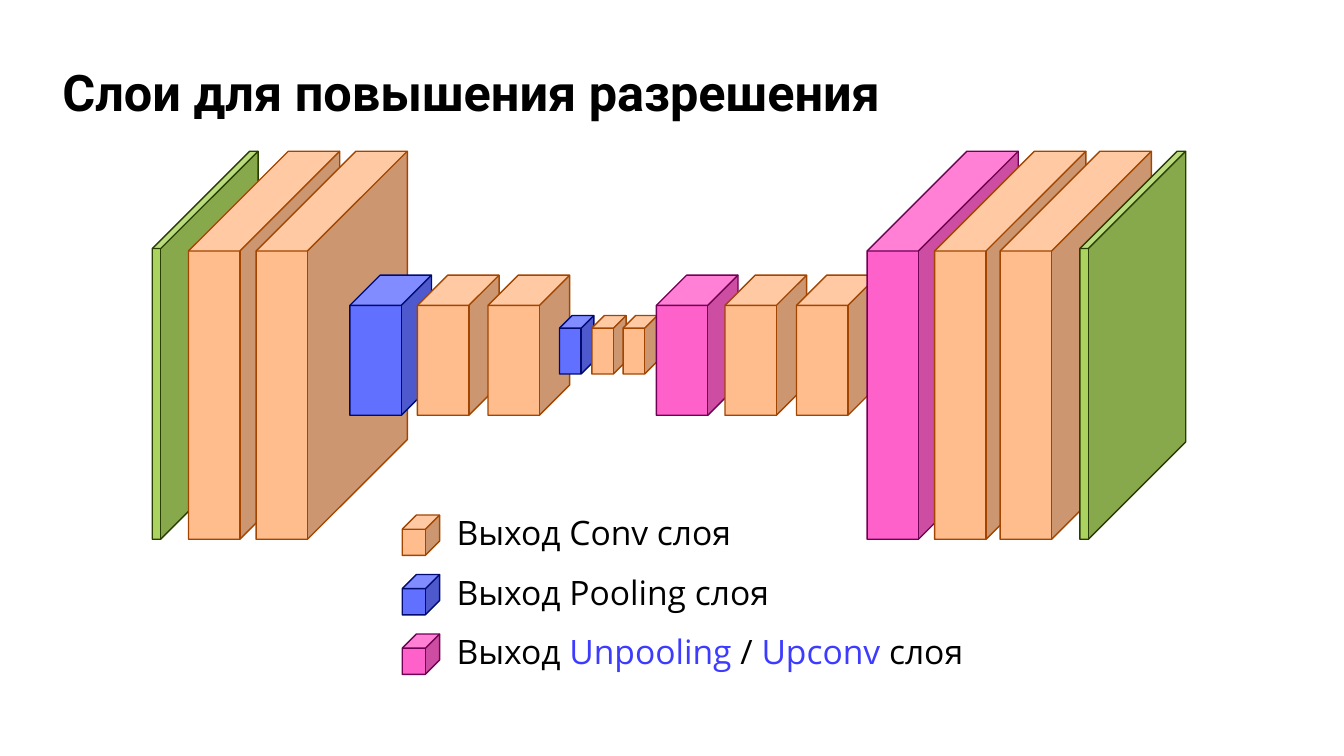
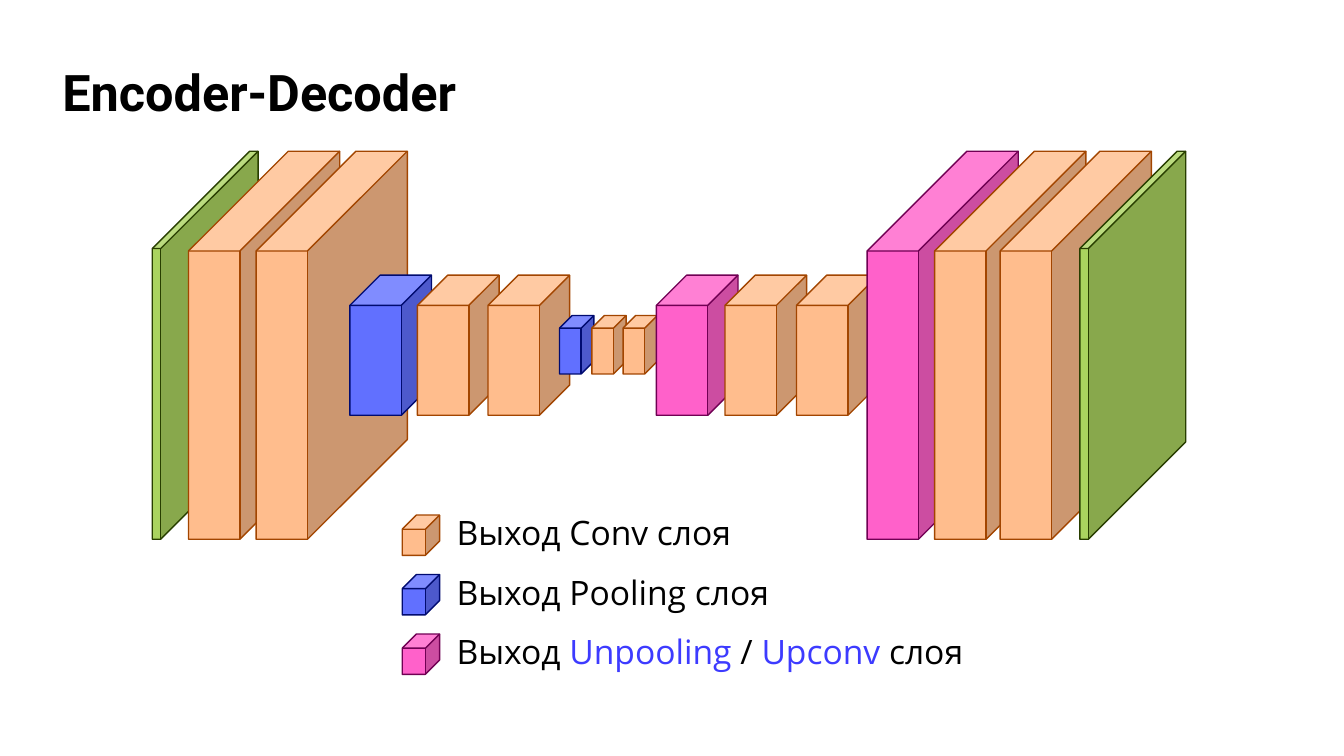
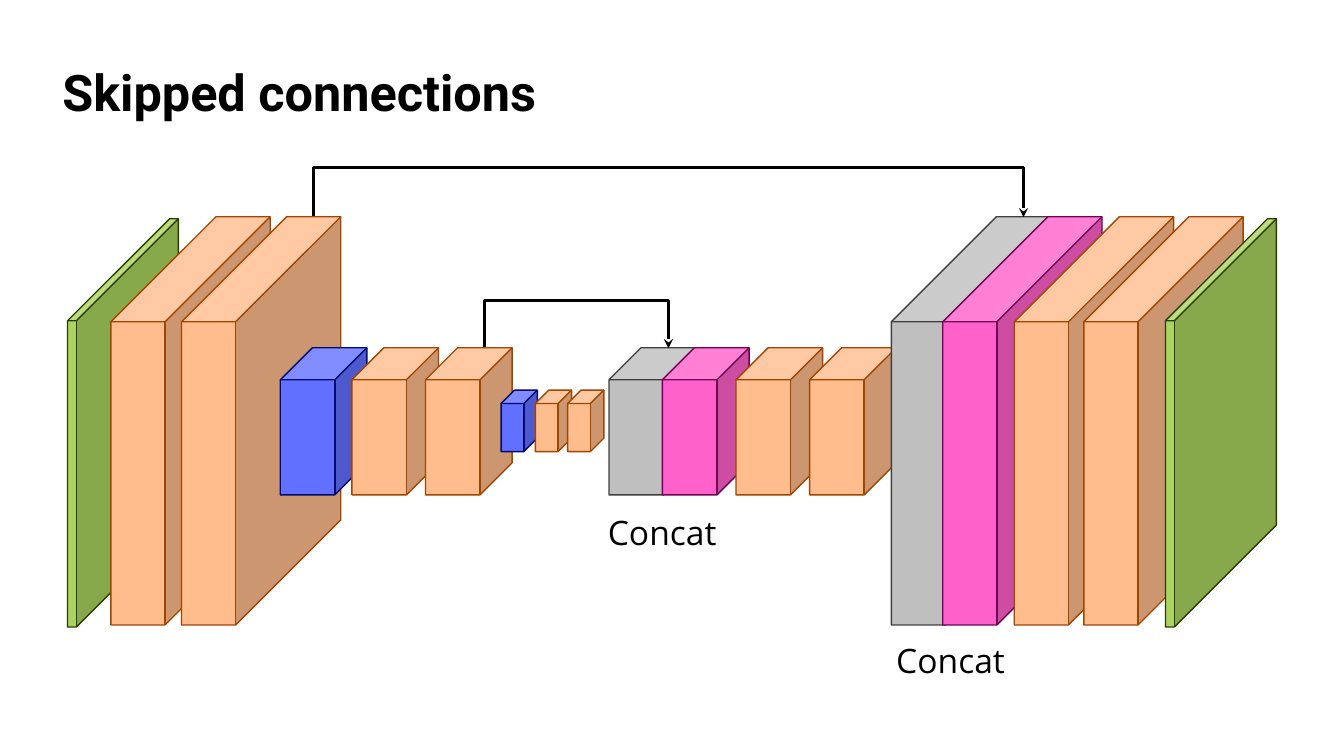
from dataclasses import dataclass
from lxml.etree import SubElement
from pptx import Presentation
from pptx.dml.color import RGBColor
from pptx.enum.shapes import MSO_CONNECTOR, MSO_SHAPE
from pptx.enum.text import MSO_ANCHOR, MSO_AUTO_SIZE
from pptx.oxml.ns import qn
from pptx.util import Inches, Pt


@dataclass(frozen=True)
class Theme:
    ink: str = "000000"
    accent: str = "3D3BFF"
    title_font: str = "Roboto"
    body_font: str = "Open Sans"
    title_size: int = 36
    body_size: int = 24
    outline: float = 1
    arrow: float = 2.25


THEME = Theme()

# Layer kind: fill, outline
LAYERS = {
    "image": ("AAD35F", "283E00"),
    "conv": ("FFBD8D", "A24500"),
    "pool": ("6170FF", "000B70"),
    "unpool": ("FF61CA", "700053"),
    "copy": ("BFBFBF", "3F3F3F"),
}

# Cube size: top, width, height, depth ratio
ENCODER_DECODER_SIZES = {
    "slab": (1.5, 1.05, 3.85, 0.92),
    "large": (1.5, 1.5, 3.85, 0.66),
    "medium": (2.73, 0.81, 1.39, 0.37),
    "small": (3.13, 0.34, 0.58, 0.37),
}
SKIP_SIZES = {
    "slab": (2.17, 1.1, 4.05, 0.92),
    "large": (2.15, 1.58, 4.05, 0.66),
    "medium": (3.45, 0.86, 1.46, 0.37),
    "small": (3.87, 0.36, 0.61, 0.37),
}

# Stages from left to right: cube size, then (layer kind, left) of each cube
ENCODER_DECODER = [
    ("slab", [("image", 1.51)]),
    ("large", [("conv", 1.87), ("conv", 2.54)]),
    ("medium", [("pool", 3.47), ("conv", 4.14), ("conv", 4.84)]),
    ("small", [("pool", 5.55), ("conv", 5.87), ("conv", 6.18)]),
    ("medium", [("unpool", 6.51), ("conv", 7.19), ("conv", 7.9)]),
    ("large", [("unpool", 8.6), ("conv", 9.27), ("conv", 9.92)]),
    ("slab", [("image", 10.71)]),
]
SKIP_NETWORK = [
    ("slab", [("image", 0.67)]),
    ("large", [("conv", 1.1), ("conv", 1.8)]),
    ("medium", [("pool", 2.78), ("conv", 3.49), ("conv", 4.22)]),
    ("small", [("pool", 4.97), ("conv", 5.31), ("conv", 5.63)]),
    ("medium", [("copy", 6.04), ("unpool", 6.57), ("conv", 7.3), ("conv", 8.03)]),
    ("large", [("copy", 8.84), ("unpool", 9.35), ("conv", 10.06), ("conv", 10.75)]),
    ("slab", [("image", 11.56)]),
]

# Layer kind, then (text, colour) spans
LEGEND = [
    ("conv", [("Выход Conv слоя", THEME.ink)]),
    ("pool", [("Выход Pooling слоя", THEME.ink)]),
    ("unpool", [("Выход ", THEME.ink), ("Unpooling", THEME.accent), (" / ", THEME.ink),
                ("Upconv ", THEME.accent), ("слоя", THEME.ink)]),
]
LEGEND_TOP, LEGEND_PITCH = 5.03, 0.59

# Source stage, target stage, rise above the cubes
SKIPS = [(2, 4, 0.47), (1, 5, 0.49)]
CONCAT_LABELS = [(5.93, 5.03), (8.79, 6.3)]

LEGEND_TITLES = ["Слои для повышения разрешения", "Encoder-Decoder"]
SKIP_TITLE = "Skipped connections"


def add_text(page, left, top, width, height, spans, font, size, bold=False):
    box = page.shapes.add_textbox(Inches(left), Inches(top), Inches(width), Inches(height))
    box.text_frame.word_wrap = True
    para = box.text_frame.paragraphs[0]
    para.font.name, para.font.size, para.font.bold = font, Pt(size), bold
    for text, colour in spans:
        span = para.add_run()
        span.text = text
        span.font.color.rgb = RGBColor.from_string(colour)
    return box


def add_label(page, left, top, width, spans):
    box = add_text(page, left, top, width, 0.5, spans, THEME.body_font, THEME.body_size)
    box.text_frame.auto_size = MSO_AUTO_SIZE.SHAPE_TO_FIT_TEXT


def add_page(deck, title):
    page = deck.slides.add_slide(deck.slide_layouts[6])
    box = add_text(page, 0.52, 0.58, 12.69, 0.72, [(title, THEME.ink)],
                   THEME.title_font, THEME.title_size, bold=True)
    box.text_frame.vertical_anchor = MSO_ANCHOR.MIDDLE
    box.text_frame.paragraphs[0].line_spacing = 0.9
    return page


def add_cube(page, kind, left, top, width, height, depth):
    fill, outline = LAYERS[kind]
    cube = page.shapes.add_shape(
        MSO_SHAPE.CUBE, Inches(left), Inches(top), Inches(width), Inches(height))
    cube.adjustments[0] = depth
    cube.shadow.inherit = False
    cube.fill.solid()
    cube.fill.fore_color.rgb = RGBColor.from_string(fill)
    cube.line.color.rgb = RGBColor.from_string(outline)
    cube.line.width = Pt(THEME.outline)
    return cube


def add_network(page, stages, sizes):
    """Draw all cubes and return them grouped by stage."""
    network = []
    for size, layers in stages:
        top, width, height, depth = sizes[size]
        network.append([add_cube(page, kind, left, top, width, height, depth)
                        for kind, left in layers])
    return network


def add_legend(page):
    for row, (kind, spans) in enumerate(LEGEND):
        top = LEGEND_TOP + row * LEGEND_PITCH
        add_cube(page, kind, 3.99, top + 0.08, 0.37, 0.4, 0.38)
        add_label(page, 4.43, top, 5.5, spans)


def top_centre(cube):
    """Horizontal middle of the cube's upper edge, where arrows attach."""
    return cube.left + int(cube.width * (1 + cube.adjustments[0]) / 2)


def add_skip(page, source, target, rise):
    """Join two cube tops with an elbow arrow, turned so that its bend lies above them."""
    start, end = top_centre(source), top_centre(target)
    thickness, span = Inches(0.01), end - start
    arrow = page.shapes.add_connector(MSO_CONNECTOR.ELBOW, start, source.top, end, target.top)
    arrow.begin_connect(source, 0)
    arrow.end_connect(target, 0)
    arrow.left, arrow.top = (start + end - thickness) // 2, source.top - span // 2
    arrow.width, arrow.height = thickness, span
    arrow.line.color.rgb = RGBColor.from_string(THEME.ink)
    arrow.line.width = Pt(THEME.arrow)

    properties = arrow._element.spPr
    frame = properties.find(qn("a:xfrm"))
    frame.set("rot", "16200000")
    frame.set("flipH", "1")
    geometry = properties.find(qn("a:prstGeom"))
    guides = geometry.find(qn("a:avLst"))
    if guides is None:
        guides = SubElement(geometry, qn("a:avLst"))
    bend = -round(Inches(rise) / thickness * 100000)
    SubElement(guides, qn("a:gd"), name="adj1", fmla=f"val {bend}")
    SubElement(properties.find(qn("a:ln")), qn("a:tailEnd"), type="stealth")
    SubElement(properties, qn("a:effectLst"))


def main():
    deck = Presentation()
    deck.slide_width, deck.slide_height = Inches(13.33), Inches(7.5)

    for title in LEGEND_TITLES:
        page = add_page(deck, title)
        add_network(page, ENCODER_DECODER, ENCODER_DECODER_SIZES)
        add_legend(page)

    page = add_page(deck, SKIP_TITLE)
    network = add_network(page, SKIP_NETWORK, SKIP_SIZES)
    for source, target, rise in SKIPS:
        add_skip(page, network[source][-1], network[target][0], rise)
    for left, top in CONCAT_LABELS:
        add_label(page, left, top, 1.58, [("Concat", THEME.ink)])

    deck.save("out.pptx")


if __name__ == "__main__":
    main()
